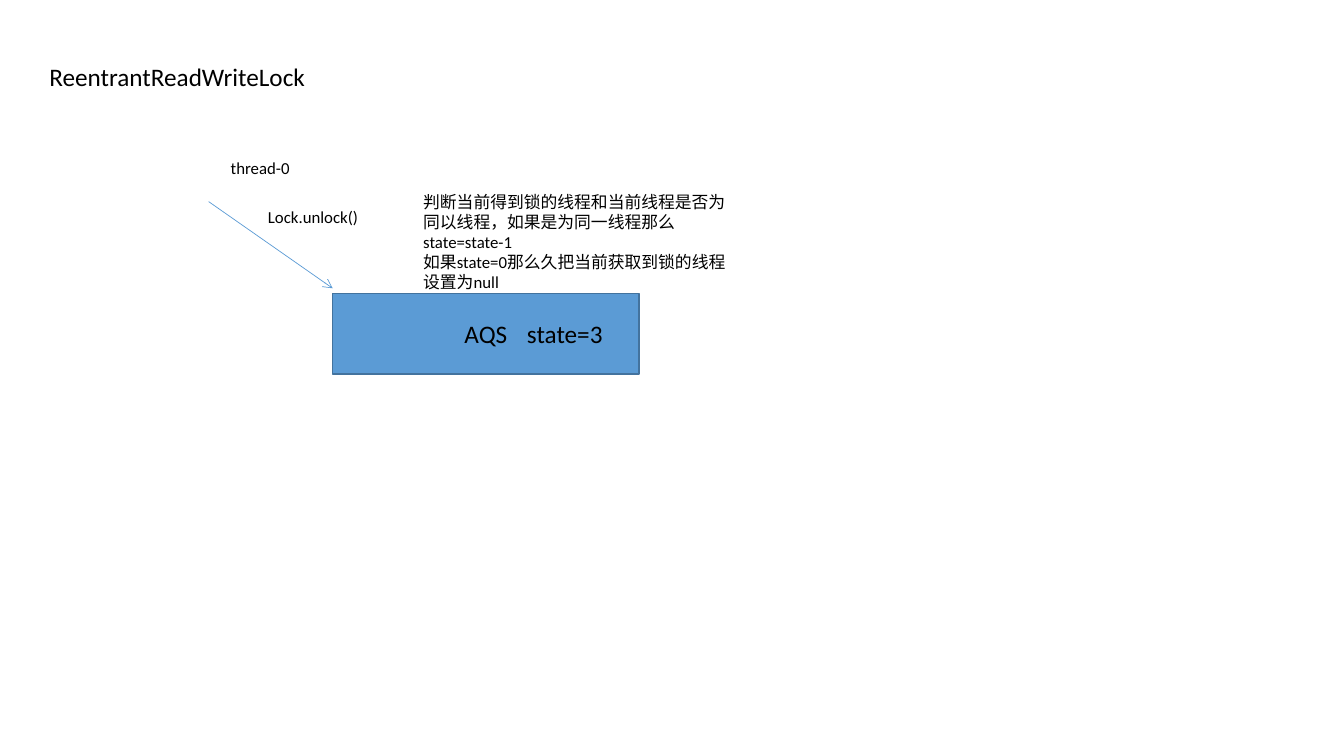
from lxml.etree import SubElement
from pptx import Presentation
from pptx.dml.color import RGBColor
from pptx.enum.shapes import MSO_CONNECTOR as Connector, MSO_SHAPE as Shape
from pptx.enum.text import MSO_ANCHOR as Anchor, MSO_AUTO_SIZE as AutoSize, PP_ALIGN as Align
from pptx.oxml.ns import qn
from pptx.util import Inches, Pt

# Places are left, top, width, height in grid cells of a tenth of an inch.
CELL = Inches(0.1)
SLIDE_SIZE = (133.33, 75)
FONT, INK, BLUE, EDGE = "Calibri", "000000", "5B9BD5", "43739E"
LARGE, SMALL = 18, 12

TITLE = ("ReentrantReadWriteLock", (3.9, 5.6, 32.2, 4), LARGE, True)
QUEUE = (33, 29.1, 30.4, 8)
ARROW = ((20.7, 20), (QUEUE[0], 28.6))
# Text, place, size, wrap
LABELS = [
    ("AQS", (45.1, 31.1, 6.6, 4), LARGE, False),
    ("state=3", (51.3, 31.1, 9.7, 4), LARGE, False),
    ("Lock.unlock()", (25.6, 20, 19.5, 3), SMALL, True),
    ("thread-0", (21.9, 15.2, 11.1, 3), SMALL, True),
    ("判断当前得到锁的线程和当前线程是否为同以线程，如果是为同一线程那么state=state-1\n"
     "如果state=0那么久把当前获取到锁的线程设置为null", (41, 18.5, 32.4, 11.1), SMALL, True),
]


def cells(values):
    """Turn grid cells into slide lengths."""
    return [round(value * CELL) for value in values]


def color(value):
    """Turn a hex string into a colour."""
    return RGBColor.from_string(value)


def assign(target, formats):
    """Set each attribute named in a dict."""
    for name, value in formats.items():
        setattr(target, name, value)


def write(box, text, size, wrap):
    """Fill a box with left-aligned text, one paragraph a line."""
    frame = box.text_frame
    frame.text = text
    assign(frame, {"word_wrap": wrap, "auto_size": AutoSize.SHAPE_TO_FIT_TEXT,
                   "vertical_anchor": Anchor.TOP})
    for para in frame.paragraphs:
        assign(para, {"alignment": Align.LEFT, "line_spacing": 1.0, "space_before": Pt(0)})
        for span in para.runs:
            assign(span.font, {"name": FONT, "size": Pt(size)})
            span.font.color.rgb = color(INK)


def add_title(page):
    """Place and fill the title placeholder."""
    text, place, size, wrap = TITLE
    box = page.shapes.title
    assign(box, dict(zip(("left", "top", "width", "height"), cells(place))))
    write(box, text, size, wrap)


def add_queue(page):
    """Draw the blue box that holds the lock state."""
    box = page.shapes.add_shape(Shape.RECTANGLE, *cells(QUEUE))
    box.shadow.inherit = False
    box.fill.solid()
    box.fill.fore_color.rgb = color(BLUE)
    box.line.color.rgb = color(EDGE)
    box.line.width = Pt(1)


def add_arrow(page):
    """Draw the open-headed arrow from the thread to the box."""
    start, end = ARROW
    arrow = page.shapes.add_connector(Connector.STRAIGHT, *cells(start + end))
    arrow.line.color.rgb = color(BLUE)
    arrow.line.width = Pt(0.5)
    outline = arrow._element.spPr.find(qn("a:ln"))
    SubElement(outline, qn("a:tailEnd"), type="arrow")
    SubElement(arrow._element.spPr, qn("a:effectLst"))


deck = Presentation()
deck.slide_width, deck.slide_height = cells(SLIDE_SIZE)
page = deck.slides.add_slide(deck.slide_layouts[5])
add_title(page)
add_queue(page)
add_arrow(page)
for text, place, size, wrap in LABELS:
    write(page.shapes.add_textbox(*cells(place)), text, size, wrap)
deck.save("out.pptx")
